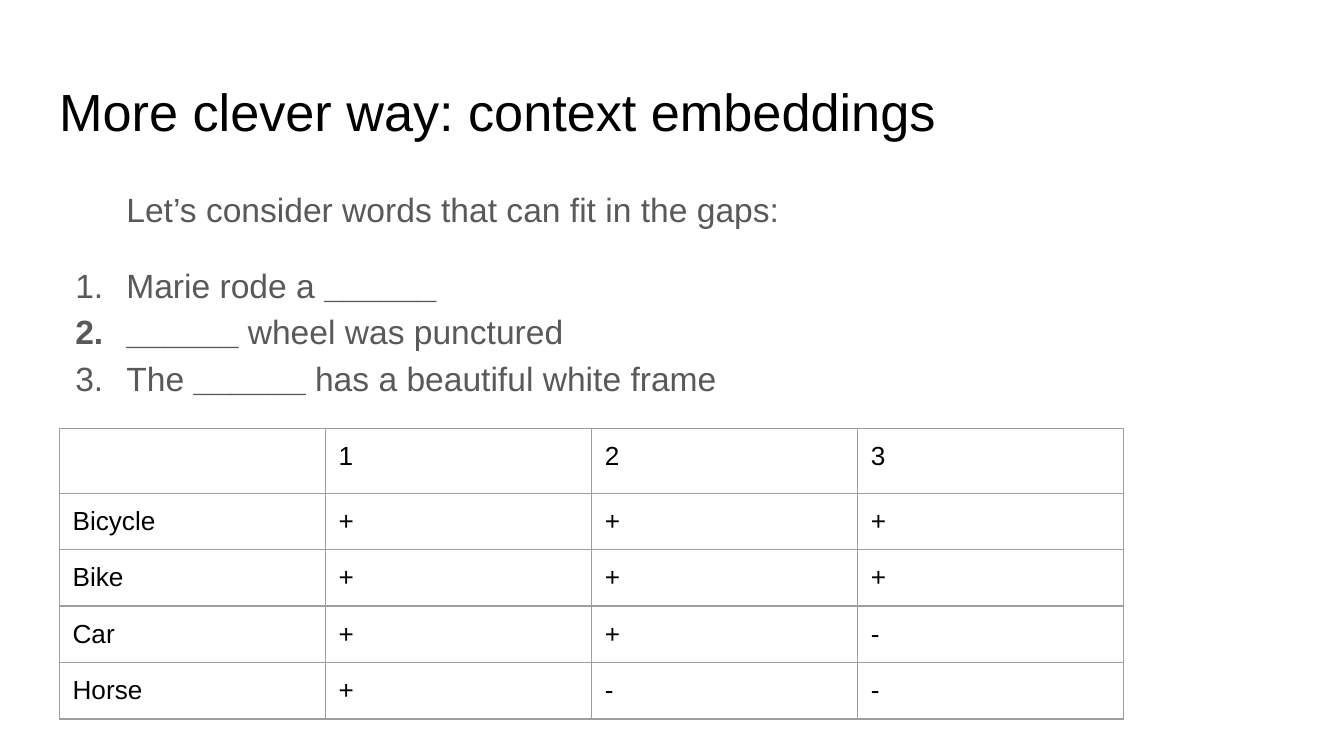
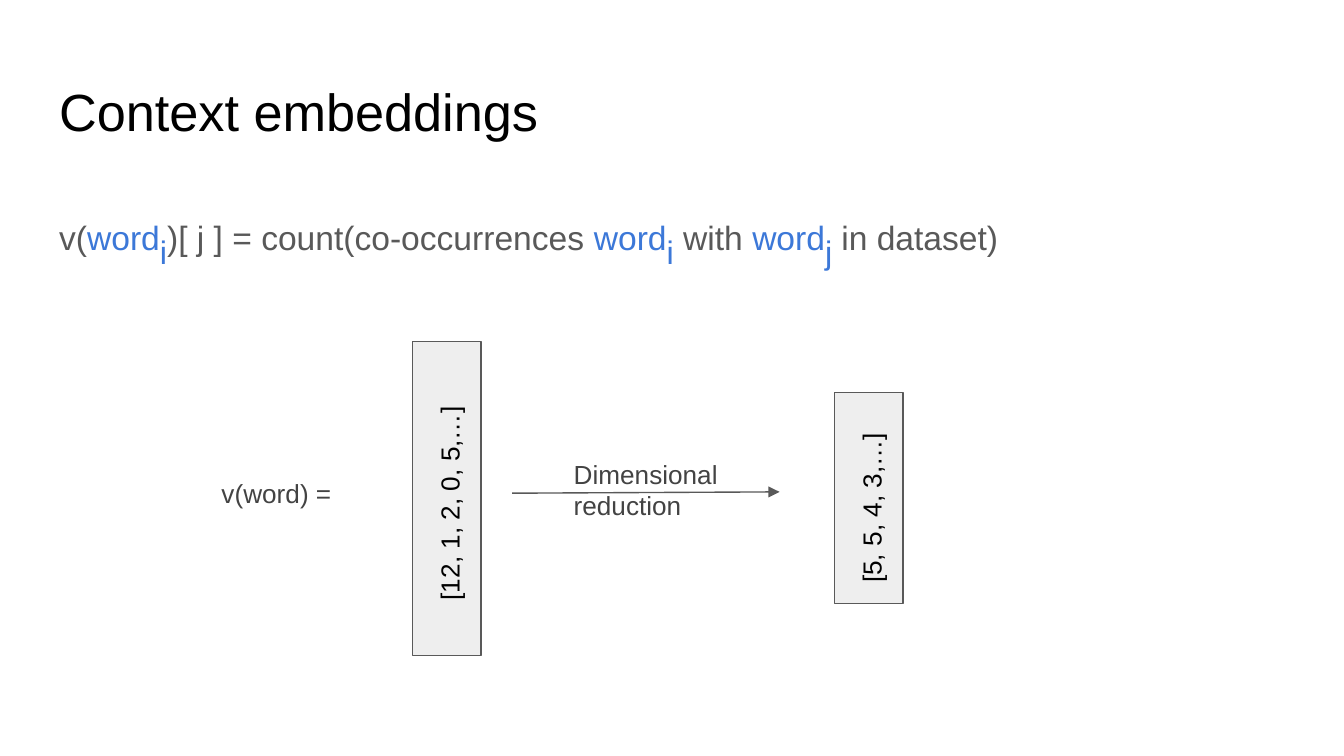
from dataclasses import dataclass

from lxml.etree import SubElement
from pptx import Presentation
from pptx.dml.color import RGBColor
from pptx.enum.shapes import MSO_CONNECTOR as Connector, MSO_SHAPE as Shape
from pptx.enum.text import MSO_ANCHOR as Anchor, MSO_AUTO_SIZE as AutoSize, PP_ALIGN as Align
from pptx.oxml.ns import qn
from pptx.util import Inches, Pt


@dataclass(frozen=True)
class Theme:
    font: str = "Arial"
    ink: str = "000000"
    body: str = "595959"
    label: str = "434343"
    accent: str = "3C78D8"
    vector_fill: str = "EEEEEE"
    grid: str = "9E9E9E"
    title_size: int = 28
    body_size: int = 18
    label_size: int = 14
    subscript_size: int = 30
    line_width: float = 0.75
    body_spacing: float = 1.15
    inset: float = 0.1


THEME = Theme()


def rgb(color):
    return RGBColor.from_string(color)


def box(*lengths):
    return [Inches(length) for length in lengths]


def style_run(run, size, color, bold=False):
    run.font.name = THEME.font
    run.font.size = Pt(size)
    run.font.bold = bold
    run.font.color.rgb = rgb(color)


def add_run(paragraph, text, size=THEME.body_size, color=THEME.body, bold=False):
    run = paragraph.add_run()
    run.text = text
    style_run(run, size, color, bold)
    return run


def set_frame(frame):
    frame.word_wrap = True
    frame.auto_size = AutoSize.NONE
    frame.vertical_anchor = Anchor.TOP
    frame.margin_left = frame.margin_right = Inches(THEME.inset)
    frame.margin_top = frame.margin_bottom = Inches(THEME.inset)


def place(placeholder, left, top, width, height):
    placeholder.left, placeholder.top, placeholder.width, placeholder.height = box(
        left, top, width, height)
    set_frame(placeholder.text_frame)


def add_titled_slide(deck, title, body_height):
    slide = deck.slides.add_slide(deck.slide_layouts[1])
    heading, body = slide.shapes.title, slide.placeholders[1]
    place(heading, 0.34, 0.49, 9.32, 0.63)
    place(body, 0.34, 1.26, 9.32, body_height)
    heading.text_frame.text = title
    line = heading.text_frame.paragraphs[0]
    line.alignment = Align.LEFT
    style_run(line.runs[0], THEME.title_size, THEME.ink)
    return slide, body.text_frame


def format_body(paragraph, left=0, hanging=0, before=0, numbered=False):
    paragraph.alignment = Align.LEFT
    paragraph.line_spacing = THEME.body_spacing
    paragraph.space_before = Pt(before)
    paragraph.space_after = Pt(0)
    props = paragraph._p.get_or_add_pPr()
    props.set("marL", str(Inches(left)))
    props.set("indent", str(-Inches(hanging)))
    if numbered:
        bullet_color = SubElement(props, qn("a:buClr"))
        SubElement(bullet_color, qn("a:srgbClr"), val=THEME.body)
        SubElement(props, qn("a:buFont"), typeface=THEME.font)
        SubElement(props, qn("a:buAutoNum"), type="arabicPeriod")
    else:
        SubElement(props, qn("a:buNone"))


def add_sentences(frame, intro, sentences):
    opening = frame.paragraphs[0]
    add_run(opening, intro)
    format_body(opening, left=0.5)
    for index, pieces in enumerate(sentences):
        sentence = frame.add_paragraph()
        for piece in pieces:
            add_run(sentence, piece, bold=piece.startswith("_"))
        format_body(sentence, 0.5, 0.38, 0 if index else 16, numbered=True)


def add_formula(frame, pieces):
    formula = frame.paragraphs[0]
    for text, subscript in pieces:
        add_run(formula, text, color=THEME.accent if subscript else THEME.body)
        if subscript:
            index = add_run(formula, subscript, THEME.subscript_size, THEME.accent)
            index._r.get_or_add_rPr().set("baseline", "-25000")
    format_body(formula)


def border_cell(cell):
    props = cell._tc.get_or_add_tcPr()
    for side in ("lnL", "lnR", "lnT", "lnB"):
        edge = SubElement(props, qn(f"a:{side}"), w=str(Pt(THEME.line_width)))
        fill = SubElement(edge, qn("a:solidFill"))
        SubElement(fill, qn("a:srgbClr"), val=THEME.grid)


def fill_cell(cell, word):
    cell.margin_left = cell.margin_right = Inches(THEME.inset)
    cell.margin_top = cell.margin_bottom = Inches(THEME.inset)
    border_cell(cell)
    cell.fill.background()
    paragraph = cell.text_frame.paragraphs[0]
    if word:
        add_run(paragraph, word, THEME.label_size, THEME.ink)
    else:
        ending = SubElement(paragraph._p, qn("a:endParaRPr"), sz=str(THEME.body_size * 100))
        SubElement(ending, qn("a:latin"), typeface=THEME.font)


def add_fit_table(slide, rows):
    column_width, header_height, row_height = 1.98, 0.11, 0.42
    columns = len(rows[0])
    height = header_height + row_height * (len(rows) - 1)
    table = slide.shapes.add_table(
        len(rows), columns, *box(0.44, 3.19, column_width * columns, height)).table
    table.first_row = table.horz_banding = False
    for row_index, words in enumerate(rows):
        table.rows[row_index].height = Inches(row_height if row_index else header_height)
        for column, word in enumerate(words):
            fill_cell(table.cell(row_index, column), word)


def add_label(slide, text, left, top, width, height, color=THEME.label, rotation=0):
    label = slide.shapes.add_textbox(*box(left, top, width, height))
    label.rotation = rotation
    set_frame(label.text_frame)
    add_run(label.text_frame.paragraphs[0], text, THEME.label_size, color)


def add_vector_bar(slide, left, top, height):
    bar = slide.shapes.add_shape(Shape.RECTANGLE, *box(left, top, 0.51, height))
    bar.shadow.inherit = False
    bar.fill.solid()
    bar.fill.fore_color.rgb = rgb(THEME.vector_fill)
    bar.line.color.rgb = rgb(THEME.body)
    bar.line.width = Pt(THEME.line_width)


def add_arrow(slide, start, end):
    arrow = slide.shapes.add_connector(Connector.STRAIGHT, *box(*start, *end))
    arrow.line.color.rgb = rgb(THEME.body)
    arrow.line.width = Pt(THEME.line_width)
    SubElement(arrow.line._get_or_add_ln(), qn("a:tailEnd"), type="triangle")
    SubElement(arrow._element.spPr, qn("a:effectLst"))


def build_gap_slide(deck):
    slide, body = add_titled_slide(deck, "More clever way: context embeddings", 1.55)
    add_sentences(body, "Let’s consider words that can fit in the gaps:", [
        ("Marie rode a ", "______"),
        ("______ ", "wheel was punctured"),
        ("The ", "______ ", "has a beautiful white frame"),
    ])
    add_fit_table(slide, [
        ("", "1", "2", "3"),
        ("Bicycle", "+", "+", "+"),
        ("Bike", "+", "+", "+"),
        ("Car", "+", "+", "-"),
        ("Horse", "+", "-", "-"),
    ])


def build_vector_slide(deck):
    slide, body = add_titled_slide(deck, "Context embeddings", 0.88)
    add_formula(body, [
        ("v(", ""), ("word", "i"), (")[ j ] = count(co-occurrences ", ""),
        ("word", "i"), (" with ", ""), ("word", "j "), ("in dataset)", ""),
    ])
    add_vector_bar(slide, 3.07, 2.54, 2.34)
    add_vector_bar(slide, 6.21, 2.92, 1.57)
    add_arrow(slide, (3.81, 3.67), (5.8, 3.66))
    add_label(slide, "Dimensional reduction", 4.17, 3.31, 1.77, 0.79)
    add_label(slide, "v(word) =", 1.55, 3.45, 1.13, 0.52)
    add_label(slide, "[12, 1, 2, 0, 5,…]", 2.48, 3.31, 1.9, 0.61, THEME.ink, 270)
    add_label(slide, "[5, 5, 4, 3,…]", 5.62, 3.18, 1.9, 0.61, THEME.ink, 270)


def main():
    deck = Presentation()
    deck.slide_width, deck.slide_height = box(10, 10 * 9 / 16)
    build_gap_slide(deck)
    build_vector_slide(deck)
    deck.save("out.pptx")


if __name__ == "__main__":
    main()
